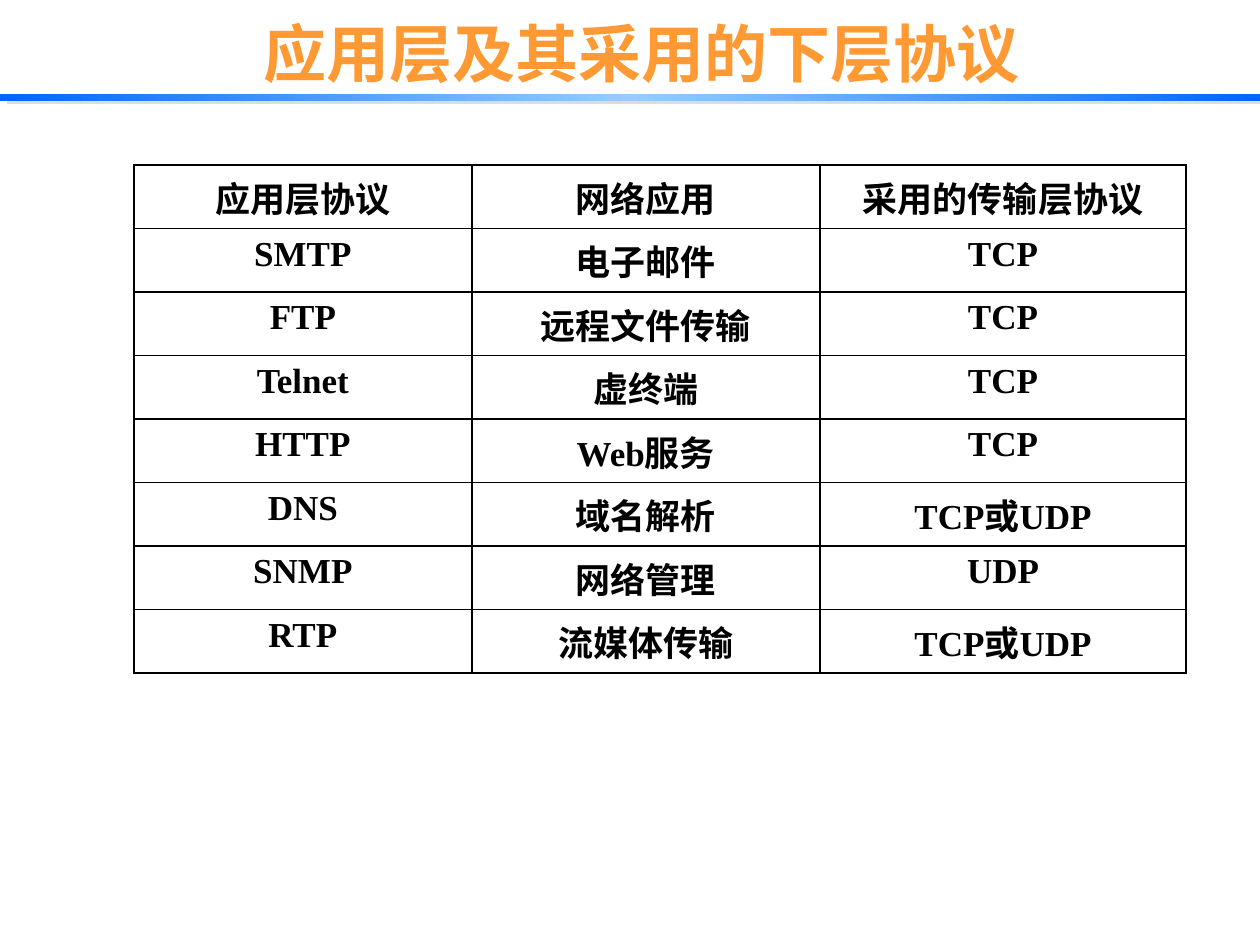
from lxml import etree
from pptx import Presentation
from pptx.dml.color import RGBColor
from pptx.enum.shapes import MSO_SHAPE
from pptx.enum.text import MSO_ANCHOR, PP_ALIGN
from pptx.oxml import parse_xml
from pptx.oxml.ns import nsdecls, qn
from pptx.util import Cm, Pt

RECTANGLE = MSO_SHAPE.RECTANGLE
MIDDLE = MSO_ANCHOR.MIDDLE
CENTER = PP_ALIGN.CENTER

TITLE = "应用层及其采用的下层协议"
TITLE_FORMAT = {"name": "Arial", "size": Pt(36), "bold": True}
CELL_FORMAT = {"name": "Times New Roman", "size": Pt(20), "bold": True}
COLUMN_WIDTHS = [6.81, 7.02, 7.38]
ROW_HEIGHT = 1.28
PROTOCOLS = [
    ["应用层协议", "网络应用", "采用的传输层协议"],
    ["SMTP", "电子邮件", "TCP"],
    ["FTP", "远程文件传输", "TCP"],
    ["Telnet", "虚终端", "TCP"],
    ["HTTP", "Web服务", "TCP"],
    ["DNS", "域名解析", "TCP或UDP"],
    ["SNMP", "网络管理", "UDP"],
    ["RTP", "流媒体传输", "TCP或UDP"],
]


def color(hex_value):
    return RGBColor.from_string(hex_value)


def write(text_frame, text, formats, hex_value):
    """Write one centred line and return its run."""
    paragraph = text_frame.paragraphs[0]
    paragraph.alignment = CENTER
    run = paragraph.add_run()
    run.text = text
    for name, value in formats.items():
        setattr(run.font, name, value)
    run.font.color.rgb = color(hex_value)
    return run


def shadow_effect(hex_value, distance, degrees):
    return parse_xml(
        f'<a:effectLst {nsdecls("a")}>'
        f'<a:outerShdw dist="{Pt(distance)}" dir="{degrees * 60000}" algn="ctr" rotWithShape="0">'
        f'<a:srgbClr val="{hex_value}"/></a:outerShdw></a:effectLst>'
    )


def add_gradient_bar(slide, stops):
    shape = slide.shapes.add_shape(RECTANGLE, Cm(0), Cm(1.9), Cm(25.4), Cm(0.13))
    shape.line.fill.background()
    shape.fill.gradient()
    shape.fill.gradient_angle = 0
    properties = shape._element.spPr
    stop_list = properties.find(qn("a:gradFill")).find(qn("a:gsLst"))
    for stop in list(stop_list):
        stop_list.remove(stop)
    for position, hex_value in stops:
        stop = etree.SubElement(stop_list, qn("a:gs"), pos=str(position * 1000))
        etree.SubElement(stop, qn("a:srgbClr"), val=hex_value)
    properties.append(shadow_effect("DDDDDD", 4.5, 27))


def add_title(slide):
    shape = slide.shapes.add_textbox(Cm(1.5), Cm(0), Cm(22.86), Cm(2.13))
    shape.text_frame.word_wrap = True
    shape.text_frame.vertical_anchor = MIDDLE
    run = write(shape.text_frame, TITLE, TITLE_FORMAT, "FF9933")
    fill = run.font._element.find(qn("a:solidFill"))
    fill.addnext(shadow_effect("000000", 2, 45))


def add_borders(cell, hex_value, width):
    properties = cell._tc.get_or_add_tcPr()
    for side in ("lnL", "lnR", "lnT", "lnB"):
        line = etree.SubElement(properties, qn(f"a:{side}"), w=str(Pt(width)))
        fill = etree.SubElement(line, qn("a:solidFill"))
        etree.SubElement(fill, qn("a:srgbClr"), val=hex_value)


def add_protocol_table(slide):
    frame = slide.shapes.add_table(
        len(PROTOCOLS), len(COLUMN_WIDTHS), Cm(2.7), Cm(3.33),
        Cm(sum(COLUMN_WIDTHS)), Cm(ROW_HEIGHT * len(PROTOCOLS)),
    )
    table = frame.table
    table.first_row = False
    table.horz_banding = False
    for column, width in zip(table.columns, COLUMN_WIDTHS):
        column.width = Cm(width)
    for row, texts in zip(table.rows, PROTOCOLS):
        row.height = Cm(ROW_HEIGHT)
        for cell, text in zip(row.cells, texts):
            write(cell.text_frame, text, CELL_FORMAT, "000000")
            add_borders(cell, "000000", 1)
            cell.fill.background()


def main():
    presentation = Presentation()
    presentation.slide_width = Cm(25.4)
    presentation.slide_height = Cm(19.05)
    slide = presentation.slides.add_slide(presentation.slide_layouts[6])
    add_gradient_bar(slide, [(0, "0066FF"), (50, "99CCFF"), (100, "0066FF")])
    add_title(slide)
    add_protocol_table(slide)
    presentation.save("out.pptx")


if __name__ == "__main__":
    main()
